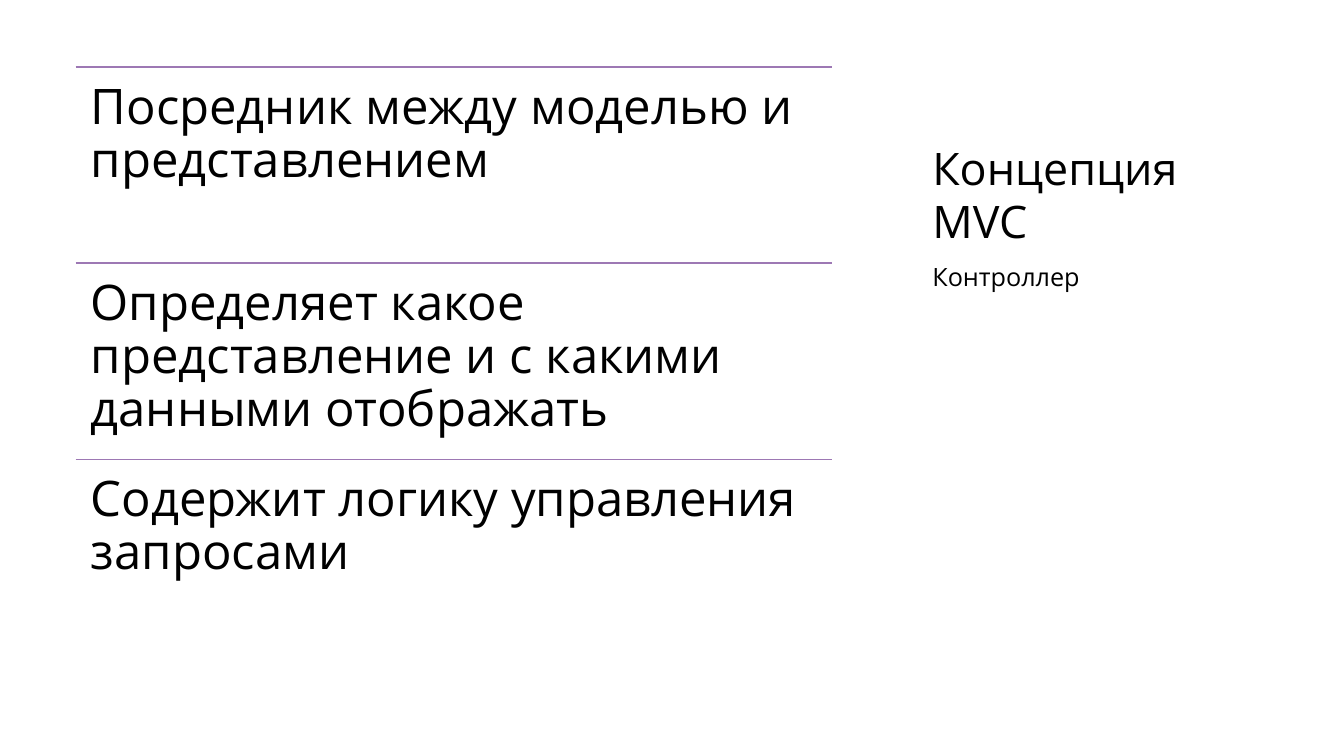
from dataclasses import dataclass, field

from lxml.etree import SubElement
from pptx import Presentation
from pptx.dml.color import RGBColor
from pptx.enum.shapes import MSO_CONNECTOR as Connector
from pptx.enum.text import MSO_ANCHOR as Anchor
from pptx.oxml.ns import qn
from pptx.shapes.shapetree import GroupShapes, SlideShapes
from pptx.util import Inches, Pt

BLACK = RGBColor(0x00, 0x00, 0x00)
PURPLE = RGBColor(0x9D, 0x78, 0xB4)
FONT = "Open Sans"

WIDTH, HEIGHT = Inches(13.33), Inches(7.5)
COLUMN, ROW = WIDTH / 160, HEIGHT / 90

LIST_LEFT, LIST_WIDTH = 9, 90
LIST_TOP, LIST_BOTTOM = 8, 78
SIDE_LEFT, SIDE_WIDTH = 111, 41.5

DUTIES = (
    "Посредник между моделью и представлением",
    "Определяет какое представление и с какими данными отображать",
    "Содержит логику управления запросами",
)


@dataclass(frozen=True)
class Passage:
    wording: str
    left: float
    top: float
    width: float
    height: float
    size: float
    inset: float = 0
    anchor: Anchor = Anchor.TOP
    spacing: dict = field(default_factory=dict)


def columns(count: float) -> int:
    return round(count * COLUMN)


def rows(count: float) -> int:
    return round(count * ROW)


def apply(target: object, values: dict) -> None:
    for name, value in values.items():
        setattr(target, name, value)


def write(shapes: SlideShapes | GroupShapes, passage: Passage) -> None:
    box = shapes.add_textbox(
        columns(passage.left), rows(passage.top),
        columns(passage.width), rows(passage.height),
    )
    frame = box.text_frame
    margins = ("margin_left", "margin_top", "margin_right", "margin_bottom")
    apply(frame, dict.fromkeys(margins, Inches(passage.inset)))
    apply(frame, {"word_wrap": True, "vertical_anchor": passage.anchor})
    paragraph = frame.paragraphs[0]
    apply(paragraph, passage.spacing)
    run = paragraph.add_run()
    run.text = passage.wording
    apply(run.font, {"name": FONT, "size": Pt(passage.size)})
    run.font.color.rgb = BLACK


def rule(shapes: GroupShapes, top: float) -> None:
    divider = shapes.add_connector(
        Connector.STRAIGHT,
        columns(LIST_LEFT), rows(top),
        columns(LIST_LEFT + LIST_WIDTH), rows(top),
    )
    divider.line.color.rgb = PURPLE
    divider.line.width = Pt(1)
    SubElement(divider._element.spPr, qn("a:effectLst"))


def main() -> None:
    deck = Presentation()
    apply(deck, {"slide_width": WIDTH, "slide_height": HEIGHT})
    shapes = deck.slides.add_slide(deck.slide_layouts[6]).shapes

    write(shapes, Passage(
        "Концепция MVC", SIDE_LEFT, 8, SIDE_WIDTH, 21.5, 32,
        anchor=Anchor.BOTTOM,
    ))

    duty_list = shapes.add_group_shape().shapes
    duty_height = (LIST_BOTTOM - LIST_TOP) / len(DUTIES)
    for index, duty in enumerate(DUTIES):
        top = LIST_TOP + index * duty_height
        rule(duty_list, top)
        write(duty_list, Passage(
            duty, LIST_LEFT, top, LIST_WIDTH, duty_height, 35,
            inset=0.15, spacing={"line_spacing": 0.9},
        ))

    write(shapes, Passage(
        "Контроллер", SIDE_LEFT, 30.75, SIDE_WIDTH, 47.25, 18,
        spacing={"line_spacing": 1.1, "space_before": Pt(8)},
    ))
    deck.save("out.pptx")


if __name__ == "__main__":
    main()
